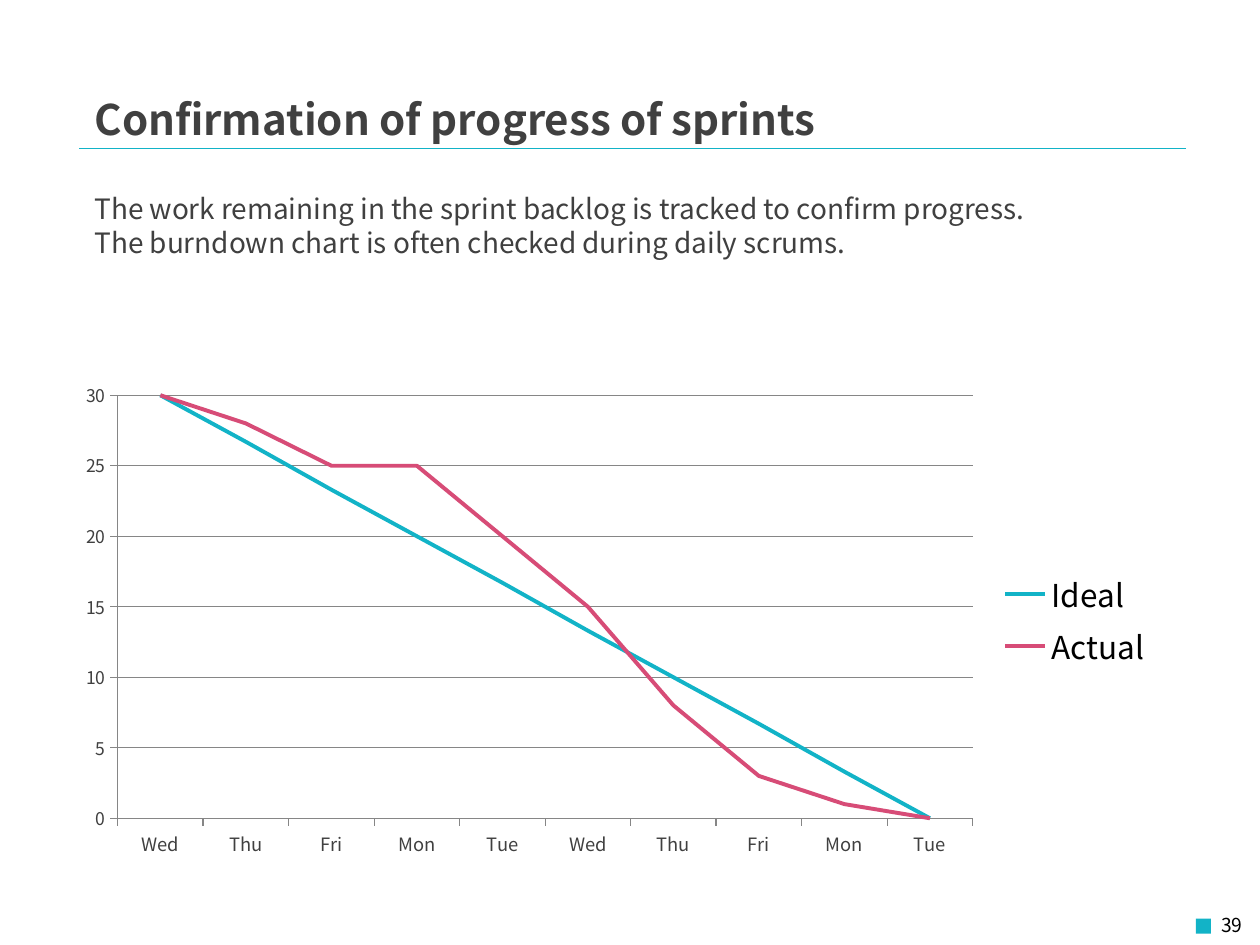
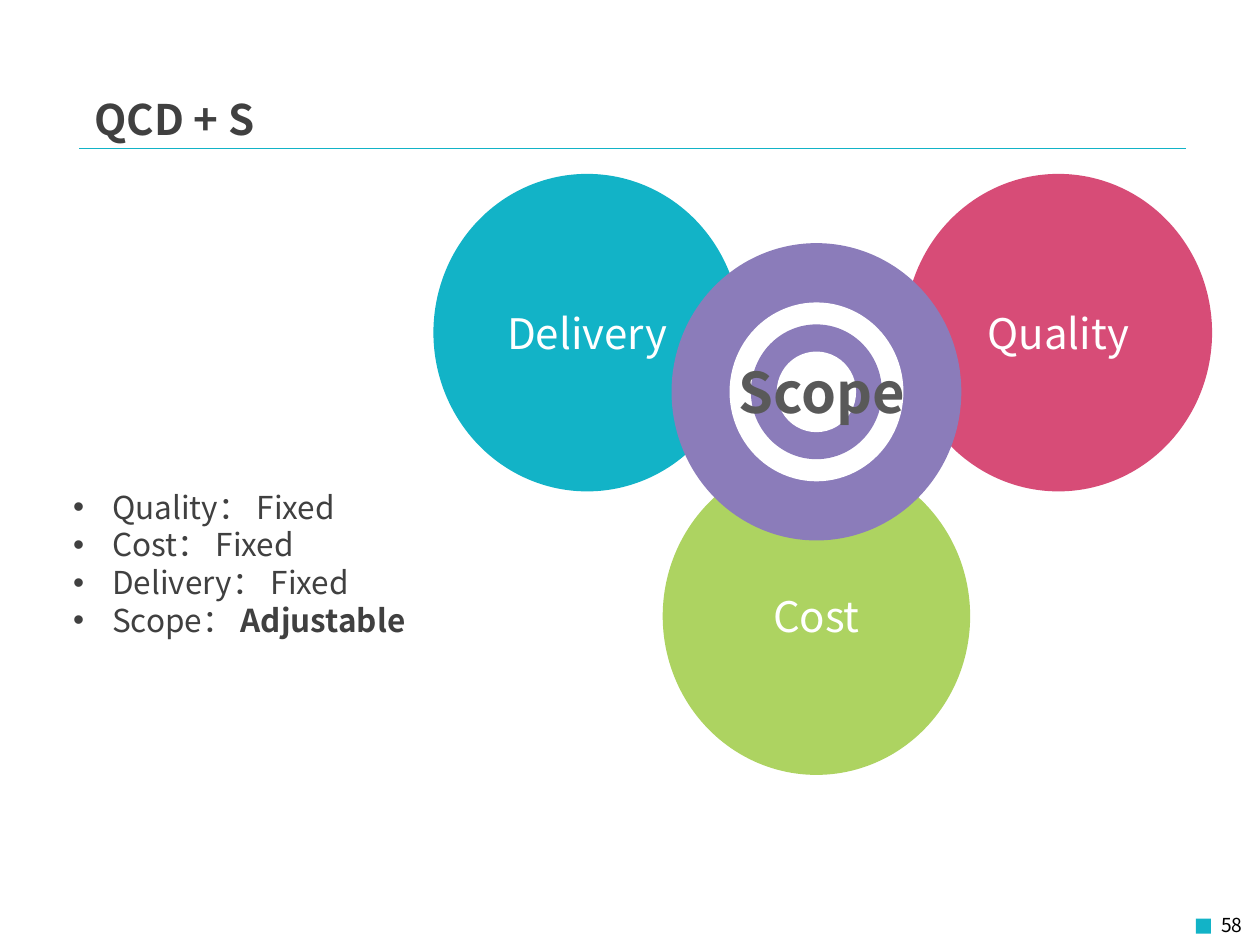
from lxml.etree import SubElement
from pptx import Presentation
from pptx.chart.data import CategoryChartData
from pptx.dml.color import RGBColor
from pptx.enum.chart import XL_CHART_TYPE, XL_LEGEND_POSITION, XL_TICK_MARK
from pptx.enum.shapes import MSO_CONNECTOR, MSO_SHAPE
from pptx.enum.text import MSO_ANCHOR, MSO_AUTO_SIZE, PP_ALIGN
from pptx.oxml.ns import qn
from pptx.util import Inches, Pt

# Theme: colours, fonts and type sizes
theme = {
    "font": "Noto Sans CJK JP", "chart": "Noto Sans CJK KR",
    "teal": "12B3C7", "pink": "D74C77", "green": "ADD361", "violet": "8B7CBA",
    "white": "FFFFFF", "black": "000000", "text": "404040", "grey": "595959",
    "grid": "868686",
    "title": 24, "lead": 16, "list": 18, "scope": 32, "page": 11,
}
color = {key: RGBColor.from_string(val) for key, val in theme.items()
         if key not in ("font", "chart") and isinstance(val, str)}


def write(frame, lines, size, tint="text", align=PP_ALIGN.LEFT, anchor=MSO_ANCHOR.TOP):
    """Fill a frame; each line is a pair of plain and bold text."""
    layout = {"word_wrap": True, "auto_size": MSO_AUTO_SIZE.NONE,
              "vertical_anchor": anchor}
    for key, val in layout.items():
        setattr(frame, key, val)
    for i, line in enumerate(lines):
        para = frame.add_paragraph() if i else frame.paragraphs[0]
        para.alignment, para.space_before = align, Pt(0)
        for text, bold in zip(line, (False, True)):
            if not text:
                continue
            run = para.add_run()
            run.text = text
            look = {"name": theme["font"], "size": Pt(theme[size]), "bold": bold}
            for key, val in look.items():
                setattr(run.font, key, val)
            run.font.color.rgb = color[tint]
            SubElement(run._r.get_or_add_rPr(), qn("a:ea"), typeface=theme["font"])


def disc(slide, kind, box, tint):
    """Add a plain filled shape without line or shadow."""
    item = slide.shapes.add_shape(kind, *map(Inches, box))
    item.shadow.inherit = False
    item.fill.solid()
    item.fill.fore_color.rgb = color[tint]
    item.line.fill.background()
    return item


deck = Presentation()
deck.slide_width, deck.slide_height = Inches(10), Inches(7.5)

# Shared frame of both slides, with title and body text
pages = [
    ("Confirmation of progress of sprints", "39", (0.65, 1.47, 8.58, 0.64), "lead", "", [
        ("The work remaining in the sprint backlog is tracked to confirm progress.", ""),
        ("The burndown chart is often checked during daily scrums.", "")]),
    ("QCD + S", "58", (0.48, 3.82, 4.7, 1.31), "list", "•", [
        ("Quality： Fixed", ""), ("Cost： Fixed", ""),
        ("Delivery： Fixed", ""), ("Scope： ", "Adjustable")]),
]
slides = []
for head, num, box, size, mark, lines in pages:
    slide = deck.slides.add_slide(deck.slide_layouts[1])
    slides.append(slide)
    title, body = slide.placeholders
    for item, place in ((title, (0.65, 0.69, 7.27, 0.39)), (body, box)):
        for key, val in zip(("left", "top", "width", "height"), place):
            setattr(item, key, Inches(val))
    write(title.text_frame, [("", head)], "title")
    write(body.text_frame, lines, size)

    # Bullets and indents
    for para in body.text_frame.paragraphs:
        props = para._p.get_or_add_pPr()
        dent = Inches(0.31) if mark else 0
        props.set("marL", str(dent))
        props.set("indent", str(-dent))
        if mark:
            SubElement(props, qn("a:buFont"), typeface="Arial")
            SubElement(props, qn("a:buChar"), char=mark)
        else:
            SubElement(props, qn("a:buNone"))

    # Title rule, page square and number
    rule = slide.shapes.add_connector(
        MSO_CONNECTOR.STRAIGHT, Inches(0.63), Inches(1.18), Inches(9.41), Inches(1.18))
    rule.line.color.rgb = color["teal"]
    rule.line.width = Pt(0.25)
    SubElement(rule._element.spPr, qn("a:effectLst"))
    disc(slide, MSO_SHAPE.RECTANGLE, (9.49, 7.29, 0.12, 0.12), "teal")
    note = slide.shapes.add_textbox(*map(Inches, (8.57, 7.2, 1.39, 0.3)))
    write(note.text_frame, [(num, "")], "page", "black", PP_ALIGN.RIGHT)

# Burndown chart
data = CategoryChartData()
data.categories = ["Wed", "Thu", "Fri", "Mon", "Tue"] * 2
data.add_series("Ideal", [30, 26.7, 23.3, 20, 16.7, 13.3, 10, 6.7, 3.3, 0])
data.add_series("Actual", [30, 28, 25, 25, 20, 15, 8, 3, 1, 0])
chart = slides[0].shapes.add_chart(
    XL_CHART_TYPE.LINE, *map(Inches, (0.51, 2.96, 8.74, 3.92)), data).chart
chart.has_title = False
chart.has_legend = True
chart.legend.position = XL_LEGEND_POSITION.RIGHT
chart.legend.include_in_layout = False
chart.plots[0].vary_by_categories = False

days, work = chart.category_axis, chart.value_axis
scale = {"minimum_scale": 0, "maximum_scale": 30, "major_unit": 5,
         "has_major_gridlines": True}
for key, val in scale.items():
    setattr(work, key, val)
for axis in (days, work):
    axis.major_tick_mark = XL_TICK_MARK.OUTSIDE
    axis.minor_tick_mark = XL_TICK_MARK.NONE

fonts = ((chart.font, 18, "black"), (days.tick_labels.font, 10.5, "text"),
         (work.tick_labels.font, 10, "text"))
for font, size, tint in fonts:
    font.name, font.size = theme["chart"], Pt(size)
    font.color.rgb = color[tint]

first, last = chart.plots[0].series
strokes = ((first.format.line, "teal", 2.25), (last.format.line, "pink", 2.25),
           (days.format.line, "grid", 0.75), (work.format.line, "grid", 0.75),
           (work.major_gridlines.format.line, "grid", 0.75))
for line, tint, width in strokes:
    line.color.rgb = color[tint]
    line.width = Pt(width)
first.smooth = last.smooth = False

# Three fixed factors
for name, left, top, tint in (("Quality", 7.18, 1.38, "pink"),
                              ("Cost", 5.26, 3.63, "green"),
                              ("Delivery", 3.44, 1.38, "teal")):
    item = disc(slides[1], MSO_SHAPE.OVAL, (left, top, 2.44, 2.52), tint)
    write(item.text_frame, [(name, "")], "title", "white",
          PP_ALIGN.CENTER, MSO_ANCHOR.MIDDLE)

# Scope target: rings around one centre
midx, midy = 6.48, 3.11
for wide, high, tint in ((2.3, 2.36, "violet"), (1.38, 1.42, "white"),
                         (1.04, 1.07, "violet"), (0.63, 0.64, "white")):
    disc(slides[1], MSO_SHAPE.OVAL,
         (midx - wide / 2, midy - high / 2, wide, high), tint)
label = slides[1].shapes.add_textbox(*map(Inches, (5.54, 2.79, 1.97, 0.64)))
write(label.text_frame, [("", "Scope")], "scope", "grey", PP_ALIGN.CENTER)

deck.save("out.pptx")
